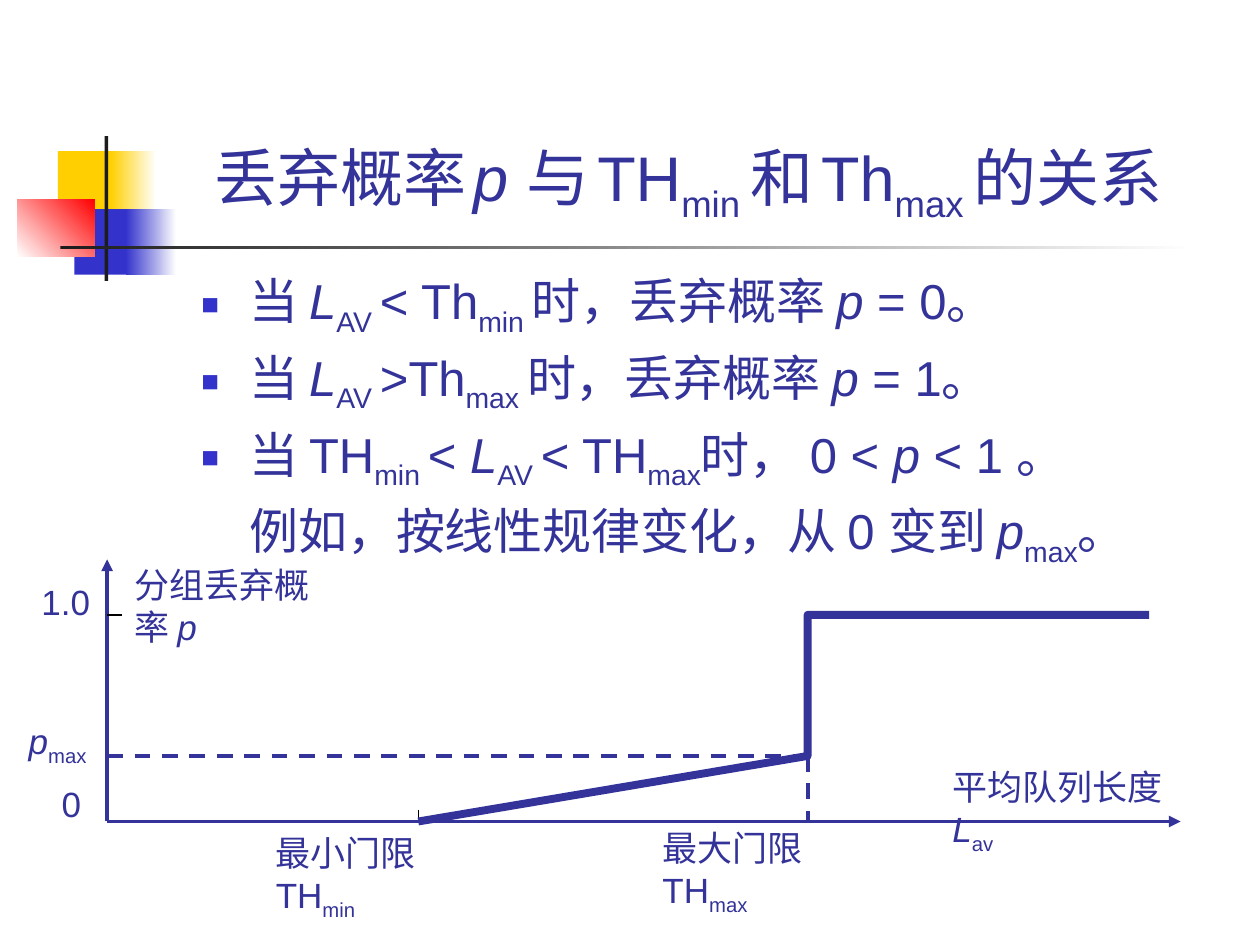
from lxml import etree
from pptx import Presentation
from pptx.dml.color import RGBColor
from pptx.enum.dml import MSO_LINE_DASH_STYLE as Dash
from pptx.enum.shapes import MSO_CONNECTOR as Link, MSO_SHAPE as Shape
from pptx.enum.text import MSO_ANCHOR as Anchor, PP_ALIGN as Align
from pptx.oxml.ns import qn
from pptx.util import Inches, Pt

INK = RGBColor(0x33, 0x33, 0x99)
GOLD = RGBColor(0xFF, 0xCF, 0x01)
BLUE = RGBColor(0x33, 0x33, 0xCC)
RED = RGBColor(0xFF, 0, 0)
DARK = RGBColor(0x1C, 0x1C, 0x1C)
WHITE = RGBColor(0xFF, 0xFF, 0xFF)
BLACK = RGBColor(0, 0, 0)

TITLE = "丢弃概率|~ |/p |与|~ |TH|_min |和|~ |Th|_max |的关系 "
RULES = [
    "当 |/L|_AV |< Th|_min |时，丢弃概率 |/p| = 0。",
    "当 |/L|_AV |>Th|_max |时，丢弃概率 |/p| = 1。",
    "当 TH|_min |< |/L|_AV |< TH|_max|时， 0 < |/p |< 1 。",
    "例如，按线性规律变化，从 0 变到 |/p|_max|。",
]


def write(para, text, size):
    for part in text.split("|"):
        mark = part[0] if part[0] in "/_~" else ""
        run = para.add_run()
        run.text = part[len(mark):]
        font = run.font
        font.name = "Arial"
        font.size = Pt(20 if mark == "~" else size)
        font.color.rgb = INK
        font.italic = mark == "/"
        if mark == "_":
            font._element.set("baseline", "-25000")


def add_text(slide, box, lines, size, wrap=True):
    frame = slide.shapes.add_textbox(*map(Inches, box)).text_frame
    frame.word_wrap = wrap
    for num, line in enumerate(lines):
        para = frame.add_paragraph() if num else frame.paragraphs[0]
        para.space_before = Pt(size * 0.2 if num else 0)
        write(para, line, size)
    return frame


def add_block(slide, box, start, end=None, angle=0):
    block = slide.shapes.add_shape(Shape.RECTANGLE, *map(Inches, box))
    block.shadow.inherit = False
    block.line.fill.background()
    if end is None:
        block.fill.solid()
        block.fill.fore_color.rgb = start
        return
    block.fill.gradient()
    block.fill.gradient_angle = angle
    for stop, color, pos in zip(block.fill.gradient_stops, (start, end), (0, 1)):
        stop.color.rgb = color
        stop.position = pos


def add_line(slide, start, end, color=INK, width=2.25, dash=False, arrow=False):
    line = slide.shapes.add_connector(Link.STRAIGHT, *map(Inches, start + end))
    line.line.color.rgb = color
    line.line.width = Pt(width)
    if dash:
        line.line.dash_style = Dash.DASH
    if arrow:
        etree.SubElement(line.line._get_or_add_ln(), qn("a:tailEnd"), type="triangle")
    etree.SubElement(line._element.spPr, qn("a:effectLst"))


def add_motif(slide, box):
    left, top, width, height = box
    add_block(slide, (left + 0.32, top + 0.12, 0.48, 0.52), GOLD)
    add_block(slide, (left + 0.74, top + 0.12, 0.36, 0.52), GOLD, WHITE)
    add_block(slide, (left + 0.45, top + 0.58, 0.46, 0.52), BLUE)
    add_block(slide, (left + 0.86, top + 0.58, 0.4, 0.52), BLUE, WHITE)
    add_block(slide, (left, top + 0.5, 0.61, 0.46), WHITE, RED, 45)
    add_block(slide, (left + 0.69, top, 0.03, height), DARK)
    add_block(slide, (left + 0.34, top + 0.87, width - 0.34, 0.03), DARK, WHITE)


def add_title(slide, box):
    frame = add_text(slide, box, [TITLE], 36)
    frame.vertical_anchor = Anchor.BOTTOM
    frame.paragraphs[0].alignment = Align.CENTER


def add_rules(slide, box):
    frame = add_text(slide, box, RULES, 28)
    for para in frame.paragraphs:
        props = para._p.get_or_add_pPr()
        props.set("marL", str(Inches(0.38)))
        props.set("indent", "0")
    for para in frame.paragraphs[:-1]:
        props = para._p.get_or_add_pPr()
        props.set("indent", str(-Inches(0.38)))
        color = etree.SubElement(props, qn("a:buClr"))
        etree.SubElement(color, qn("a:srgbClr"), val=str(BLUE))
        etree.SubElement(props, qn("a:buSzPct"), val="60000")
        etree.SubElement(props, qn("a:buFont"), typeface="Arial")
        etree.SubElement(props, qn("a:buChar"), char="■")


def add_graph(slide, box):
    left, top, width, height = box
    right, base = left + width, top + height
    low, high, end = left + 2.47, left + 5.56, left + 8.27
    full, part = top + 0.44, top + 1.56
    add_line(slide, (left, base), (right, base), arrow=True)
    add_line(slide, (left, base), (left, top), arrow=True)
    add_line(slide, (high, part), (high, base), dash=True)
    add_line(slide, (left, part), (high, part), dash=True)
    add_line(slide, (low, base - 0.09), (low, base), BLACK, 0.75)
    add_line(slide, (left, full), (left + 0.12, full), BLACK, 0.75)

    pen = slide.shapes.build_freeform(Inches(low), Inches(base))
    points = [(high, part), (high, full), (end, full)]
    pen.add_line_segments([tuple(map(Inches, spot)) for spot in points], close=False)
    curve = pen.convert_to_shape()
    curve.shadow.inherit = False
    curve.fill.background()
    curve.line.color.rgb = INK
    curve.line.width = Pt(4.5)

    names = [
        (low - 1.23, base + 0.03, 2.05, "最小门限 TH|_min"),
        (high - 1.25, base - 0.01, 2.1, "最大门限 TH|_max"),
        (right - 1.91, base - 0.49, 2.29, "平均队列长度 |/L|_av"),
        (left + 0.12, top - 0.02, 2.1, "分组丢弃概率 |/p"),
    ]
    for x, y, wide, text in names:
        frame = add_text(slide, (x, y, wide, 0.43), [text], 20)
        frame.margin_right = Inches(0.4)
    ticks = [
        (left - 0.62, full - 0.32, 0.59, "1.0"),
        (left - 0.46, base - 0.36, 0.36, "0"),
        (left - 0.72, part - 0.34, 0.7, "/p|_max"),
    ]
    for x, y, wide, text in ticks:
        add_text(slide, (x, y, wide, 0.43), [text], 20, wrap=False)


def main():
    deck = Presentation()
    deck.slide_width, deck.slide_height = Inches(10), Inches(7.5)
    slide = deck.slides.add_slide(deck.slide_layouts[6])
    add_motif(slide, (0.14, 1.08, 9.34, 1.15))
    add_title(slide, (1.26, 0.23, 8.52, 1.6))
    add_graph(slide, (0.85, 4.44, 8.52, 2.08))
    add_rules(slide, (1.5, 2.1, 8.5, 2.6))
    deck.save("out.pptx")


if __name__ == "__main__":
    main()
